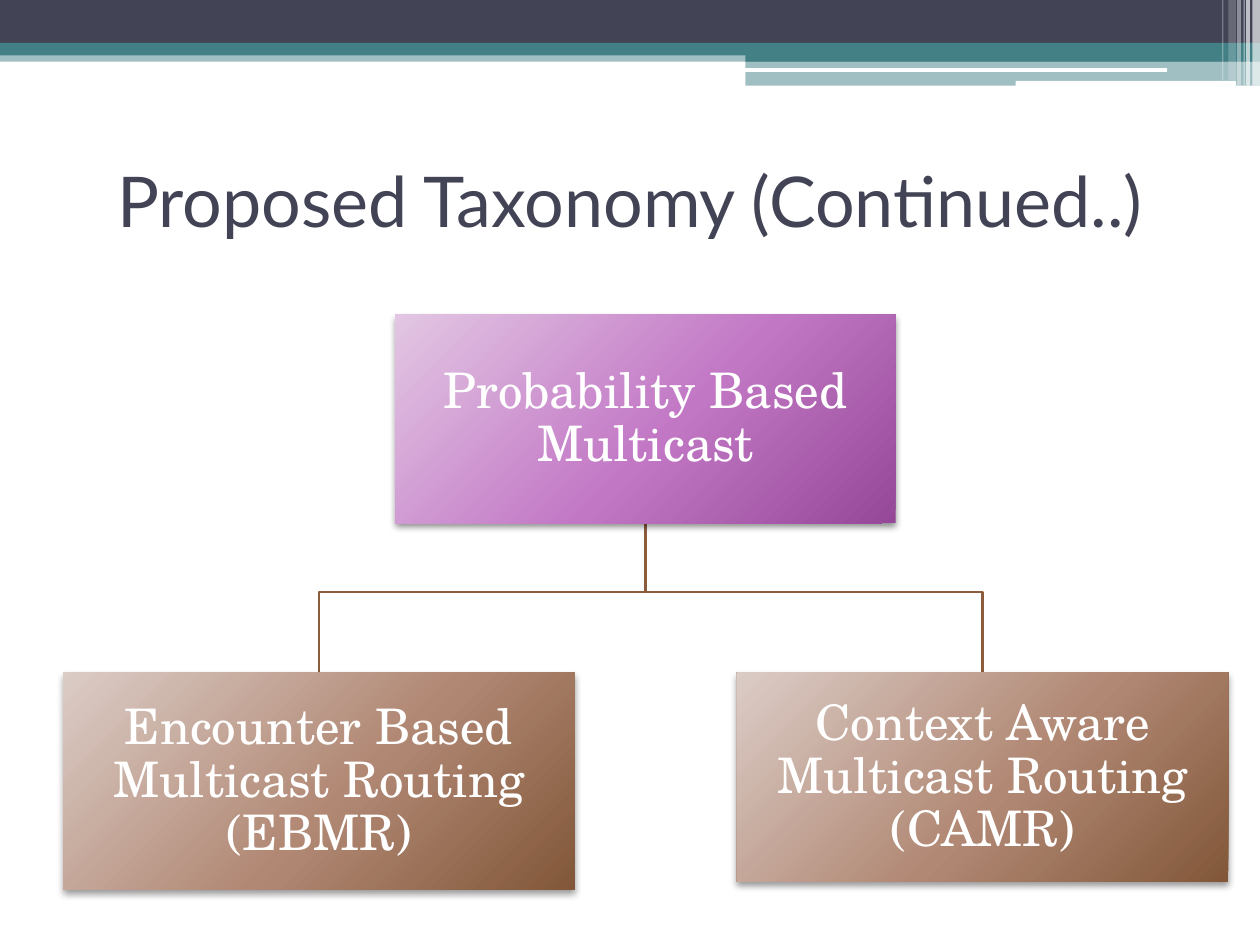
import dataclasses

import pptx
import pptx.dml.color
import pptx.enum.shapes
import pptx.enum.text
import pptx.oxml
import pptx.oxml.ns
import pptx.util

Pt = pptx.util.Pt
SHAPES = pptx.enum.shapes.MSO_SHAPE
NAMESPACE = pptx.oxml.ns.nsdecls("a")
NAVY, TEAL, WHITE, BROWN = "424456", "438086", "FFFFFF", "8B5D3D"
PURPLES = ("E2C6E3", "C277C5", "954898")
BROWNS = ("DBCCC6", "B18874", "825739")


@dataclasses.dataclass
class Band:
    left: float
    top: float
    width: float
    height: float
    color: str
    opacity: int = 100
    rounded: bool = False


@dataclasses.dataclass
class Node:
    text: str
    left: float
    top: float
    width: float
    height: float
    colors: tuple
    shade: int

    @property
    def center(self) -> float:
        return self.left + self.width / 2


BANDS = [
    Band(0, 28.8, 720, 6.5, TEAL, 50),
    Band(0, 0, 720, 24.5, NAVY),
    Band(0, 24.5, 720, 7.2, TEAL),
    Band(426, 28.1, 294, 7.2, TEAL),
    Band(426, 34.7, 294, 14.2, TEAL, 50),
    Band(425.7, 38.9, 241.2, 2.2, WHITE, rounded=True),
    Band(580.3, 46.2, 126, 2.9, WHITE, rounded=True),
    Band(715.7, 0, 4.3, 49, WHITE, 65),
    Band(712.1, 0, 2.16, 49, WHITE, 65),
    Band(710.6, 0, 0.72, 49, WHITE, 60),
    Band(707, 0, 2.16, 49, WHITE, 40),
    Band(702, 0, 4.3, 46, WHITE, 20),
    Band(698.4, 0, 0.72, 46, WHITE, 30),
]
ROOT = Node("Probability Based Multicast", 225.8, 180, 286, 119, PURPLES, 45)
CHILDREN = [
    Node("Encounter Based Multicast Routing (EBMR)", 36, 384.5, 292.5, 124, BROWNS, 40),
    Node("Context Aware Multicast Routing (CAMR)", 421, 384.5, 281, 119.5, BROWNS, 40),
]


def rgb(color: str):
    return pptx.dml.color.RGBColor.from_string(color)


def write(frame, text: str, *, font: str, size: float, color: str, spacing: float = 1.0, margin: float = 7.2) -> None:
    frame.word_wrap = True
    frame.auto_size = pptx.enum.text.MSO_AUTO_SIZE.NONE
    frame.vertical_anchor = pptx.enum.text.MSO_ANCHOR.MIDDLE
    frame.margin_left = frame.margin_right = Pt(margin)
    frame.margin_top = frame.margin_bottom = Pt(min(margin, 3.6))
    para = frame.paragraphs[0]
    para.alignment = pptx.enum.text.PP_ALIGN.CENTER
    para.line_spacing = spacing
    span = para.add_run()
    span.text = text
    span.font.name = font
    span.font.size = Pt(size)
    span.font.color.rgb = rgb(color)


def add_box(page, item, kind):
    box = page.shapes.add_shape(kind, Pt(item.left), Pt(item.top), Pt(item.width), Pt(item.height))
    box.shadow.inherit = False
    box.line.fill.background()
    box.fill.solid()
    return box


def add_band(page, band: Band) -> None:
    box = add_box(page, band, SHAPES.ROUNDED_RECTANGLE if band.rounded else SHAPES.RECTANGLE)
    box.fill.fore_color.rgb = rgb(band.color)
    if band.opacity < 100:
        color = box._element.spPr.find(".//" + pptx.oxml.ns.qn("a:srgbClr"))
        color.append(pptx.oxml.parse_xml(f'<a:alpha {NAMESPACE} val="{band.opacity * 1000}"/>'))


def add_node(page, node: Node) -> None:
    box = add_box(page, node, SHAPES.RECTANGLE)
    properties = box._element.spPr
    stops = "".join(
        f'<a:gs pos="{place * 1000}"><a:srgbClr val="{color}"/></a:gs>'
        for place, color in zip((0, 55, 100), node.colors)
    )
    gradient = pptx.oxml.parse_xml(
        f'<a:gradFill {NAMESPACE} rotWithShape="1"><a:gsLst>{stops}</a:gsLst><a:path path="circle">'
        '<a:fillToRect l="-40000" t="-90000" r="140000" b="190000"/></a:path></a:gradFill>'
    )
    properties.replace(properties.find(pptx.oxml.ns.qn("a:solidFill")), gradient)
    properties.find(pptx.oxml.ns.qn("a:effectLst")).append(pptx.oxml.parse_xml(
        f'<a:outerShdw {NAMESPACE} blurRad="{Pt(4)}" dist="{Pt(2)}" dir="5400000" rotWithShape="0">'
        f'<a:srgbClr val="000000"><a:alpha val="{node.shade * 1000}"/></a:srgbClr></a:outerShdw>'
    ))
    write(box.text_frame, node.text, font="TeX Gyre Schola", size=28, color=WHITE, spacing=0.9, margin=1.4)


def add_branch(page, parent: Node, child: Node) -> None:
    bend = Pt(338.4)
    start, end = Pt(parent.center), Pt(child.center)
    outline = page.shapes.build_freeform(start, Pt(parent.top + parent.height))
    outline.add_line_segments([(start, bend), (end, bend), (end, Pt(child.top))], close=False)
    branch = outline.convert_to_shape()
    branch.shadow.inherit = False
    branch.fill.background()
    branch.line.color.rgb = rgb(BROWN)
    branch.line.width = Pt(1.5)


deck = pptx.Presentation()
deck.slide_width, deck.slide_height = Pt(720), Pt(540)
page = deck.slides.add_slide(deck.slide_layouts[5])
for band in BANDS:
    add_band(page, band)
title = page.shapes.title
title.left, title.top, title.width, title.height = Pt(36), Pt(72), Pt(648), Pt(84)
write(title.text_frame, "Proposed Taxonomy (Continued..)", font="Lato", size=40, color=NAVY)
for child in reversed(CHILDREN):
    add_branch(page, ROOT, child)
for node in [ROOT, *CHILDREN]:
    add_node(page, node)
deck.save("out.pptx")
